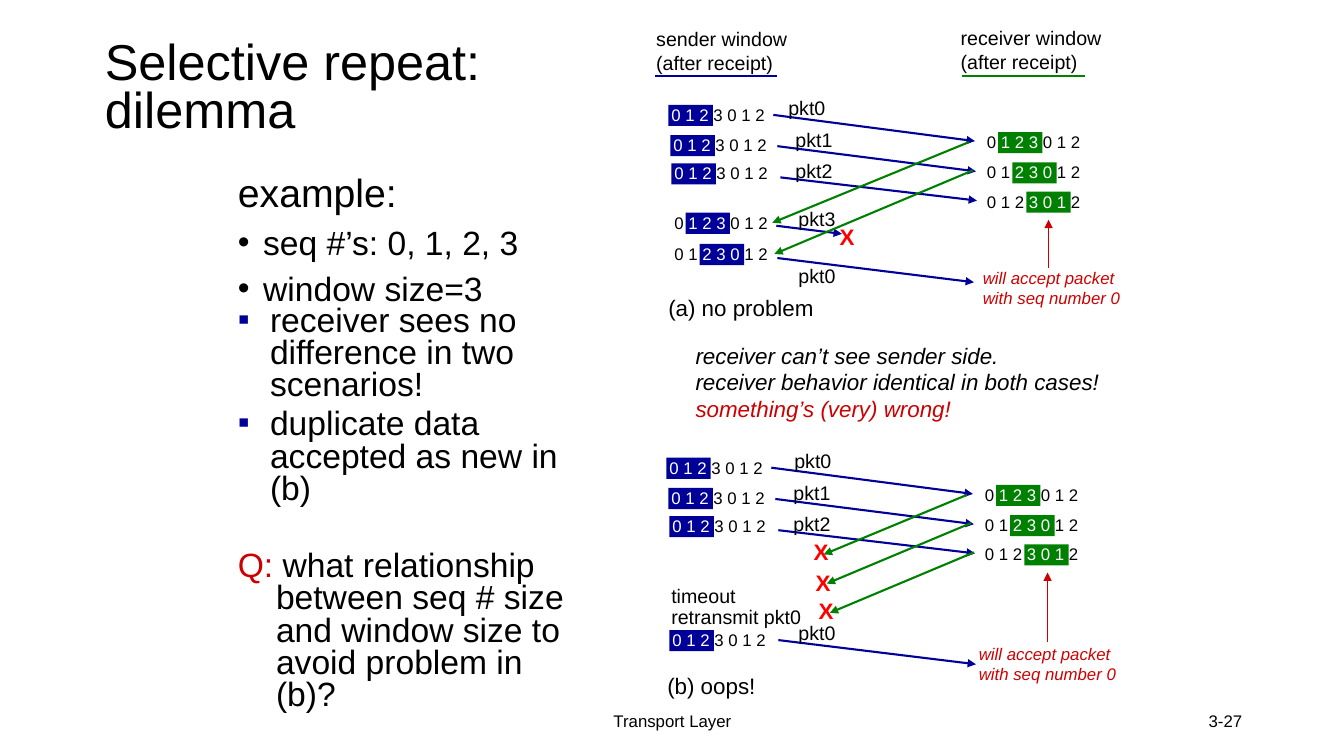
from lxml import etree
from pptx import Presentation
from pptx.dml.color import RGBColor
from pptx.enum.shapes import MSO_CONNECTOR as Connector, MSO_SHAPE as Shape
from pptx.enum.text import MSO_ANCHOR as Anchor, MSO_AUTO_SIZE as AutoSize, PP_ALIGN as Align
from pptx.oxml.ns import qn
from pptx.util import Inches, Pt

BLACK, WHITE, BLUE, GREEN = "000000", "FFFFFF", "000099", "008000"
RED, DARK_RED = "FF0000", "CC0000"

# ---- Content ----
TITLE = ["Selective repeat:", "dilemma"]
# (runs, size, line spacing, space before, indent, bullet, bullet colour)
EXAMPLE = [
    ([("example:", BLACK)], 28, 0.9, 0, 0.25, None, None),
    ([("seq #’s: 0, 1, 2, 3", BLACK)], 24, 0.8, 10, 0.25, "•", BLACK),
    ([("window size=3", BLACK)], 24, 0.8, 10, 0.25, "•", BLACK),
]
FINDINGS = [
    ([("receiver sees no difference in two scenarios!", BLACK)], 24, 0.8, 0, 0.32, "▪", BLUE),
    ([("duplicate data accepted as new in (b)", BLACK)], 24, 0.8, 5, 0.32, "▪", BLUE),
    ([("Q:", DARK_RED), (" what relationship between seq # size and window size "
      "to avoid problem in (b)?", BLACK)], 24, 0.8, 32, 0.38, None, None),
]
# (heading, text left, text top, width, underline left, underline right, colour)
HEADINGS = [
    ("sender window", 6.41, 0.22, 1.51, 6.5, 7.71, BLUE),
    ("receiver window", 9.43, 0.21, 1.61, 9.54, 10.76, GREEN),
]
VERDICT = [("receiver can’t see sender side.", BLACK),
           ("receiver behavior identical in both cases!", BLACK),
           ("something’s (very) wrong!", DARK_RED)]
ACCEPTS = ["will accept packet", "with seq number 0"]
SEQUENCE = "0 1 2 3 0 1 2"

# windows: (left, top, first number in window); arrows: (x1, y1, x2, y2)
SCENARIOS = [
    {
        "senders": [(6.56, 0.99, 0), (6.58, 1.29, 0), (6.59, 1.57, 0),
                    (6.59, 2.06, 1), (6.59, 2.37, 2)],
        "receivers": [(9.69, 1.26, 1), (9.69, 1.56, 2), (9.69, 1.85, 3)],
        "packets": [(7.67, 1.14, 9.67, 1.4), (7.71, 1.45, 9.68, 1.7), (7.74, 1.76, 9.69, 1.99),
                    (7.7, 2.24, 8.35, 2.32), (7.71, 2.56, 9.66, 2.8)],
        "acks": [(9.61, 1.41, 7.66, 2.21), (9.65, 1.69, 7.68, 2.52)],
        "labels": [("pkt0", 7.72, 0.9), ("pkt1", 7.79, 1.22), ("pkt2", 7.79, 1.53),
                   ("pkt3", 7.82, 2.0), ("pkt0", 7.82, 2.57)],
        "losses": [(8.23, 2.16)],
        "timeout": None,
        "accepts": (9.65, 2.61), "pointer": (10.4, 2.66, 10.4, 2.18),
        "caption": ("(a) no problem", 6.53, 2.87, 1.67),
    },
    {
        "senders": [(6.54, 4.49, 0), (6.56, 4.79, 0), (6.57, 5.07, 0), (6.57, 6.2, 0)],
        "receivers": [(9.67, 4.76, 1), (9.67, 5.06, 2), (9.67, 5.35, 3)],
        "packets": [(7.65, 4.64, 9.65, 4.9), (7.69, 4.95, 9.66, 5.2), (7.72, 5.26, 9.67, 5.49),
                    (7.72, 6.35, 9.68, 6.59)],
        "acks": [(9.59, 4.91, 8.17, 5.5), (9.63, 5.19, 8.2, 5.79), (9.66, 5.48, 8.23, 6.08)],
        "labels": [("pkt0", 7.78, 4.4), ("pkt1", 7.77, 4.72), ("pkt2", 7.77, 5.03),
                   ("pkt0", 7.82, 6.11)],
        "losses": [(7.97, 5.29), (7.99, 5.6), (8.02, 5.88)],
        "timeout": (["timeout", "retransmit pkt0"], 6.56, 5.77),
        "accepts": (9.61, 6.34), "pointer": (10.39, 6.37, 10.39, 5.68),
        "caption": ("(b) oops!", 6.52, 6.62, 1.1),
    },
]


# ---- Helpers ----
def rgb(color):
    return RGBColor.from_string(color)


def add_run(paragraph, text, color, **font_format):
    run = paragraph.add_run()
    run.text = text
    run.font.name = "Arial"
    run.font.color.rgb = rgb(color)
    for name, value in font_format.items():
        setattr(run.font, name, value)


def add_text(shapes, box, lines, size, align=Align.LEFT, anchor=Anchor.TOP,
             spacing=None, **font_format):
    """Each line is a list of (text, colour) runs."""
    frame = shapes.add_textbox(*map(Inches, box)).text_frame
    frame.word_wrap = False
    frame.vertical_anchor = anchor
    for number, runs in enumerate(lines):
        paragraph = frame.add_paragraph() if number else frame.paragraphs[0]
        paragraph.alignment = align
        paragraph.line_spacing = spacing
        for text, color in runs:
            add_run(paragraph, text, color, size=Pt(size), **font_format)


def add_line(shapes, ends, color, width=1.5, arrow=True):
    line = shapes.add_connector(Connector.STRAIGHT, *map(Inches, ends))
    line.line.color.rgb = rgb(color)
    line.line.width = Pt(width)
    if arrow:
        etree.SubElement(line.line._get_or_add_ln(), qn("a:tailEnd"), type="triangle")
    etree.SubElement(line._element.spPr, qn("a:effectLst"))


def add_window(shapes, left, top, first, color):
    """Sequence numbers, with three of them highlighted."""
    box = Inches(left + 0.07 + 0.14 * first), Inches(top + 0.05), Inches(0.44), Inches(0.21)
    highlight = shapes.add_shape(Shape.RECTANGLE, *box)
    highlight.shadow.inherit = False
    highlight.fill.solid()
    highlight.fill.fore_color.rgb = rgb(color)
    highlight.line.fill.background()
    start, end = 2 * first, 2 * first + 6
    parts = [(SEQUENCE[:start], BLACK), (SEQUENCE[start:end], WHITE), (SEQUENCE[end:], BLACK)]
    add_text(shapes, (left, top, 1.13, 0.3), [[part for part in parts if part[0]]], 12)


def fill_list(frame, items):
    frame.word_wrap = True
    frame.auto_size = AutoSize.NONE
    for number, (runs, size, spacing, before, indent, bullet, bullet_color) in enumerate(items):
        paragraph = frame.add_paragraph() if number else frame.paragraphs[0]
        layout = {"alignment": Align.LEFT, "line_spacing": spacing, "space_before": Pt(before)}
        for name, value in layout.items():
            setattr(paragraph, name, value)
        properties = paragraph._p.get_or_add_pPr()
        properties.set("marL", str(Inches(indent)))
        properties.set("indent", str(-Inches(indent)))
        if bullet:
            color = etree.SubElement(properties, qn("a:buClr"))
            etree.SubElement(color, qn("a:srgbClr"), val=bullet_color)
            etree.SubElement(properties, qn("a:buFont"), typeface="Arial")
            etree.SubElement(properties, qn("a:buChar"), char=bullet)
        else:
            etree.SubElement(properties, qn("a:buNone"))
        for text, color in runs:
            add_run(paragraph, text, color, size=Pt(size))


def place(shape, *box):
    for name, value in zip(("left", "top", "width", "height"), box):
        setattr(shape, name, Inches(value))


def draw_scenario(shapes, scenario):
    for role, color in (("senders", BLUE), ("receivers", GREEN)):
        for window in scenario[role]:
            add_window(shapes, *window, color)
    for role, color in (("packets", BLUE), ("acks", GREEN)):
        for ends in scenario[role]:
            add_line(shapes, ends, color)
    for label, left, top in scenario["labels"]:
        add_text(shapes, (left, top, 0.58, 0.33), [[(label, BLACK)]], 14)
    for left, top in scenario["losses"]:
        add_text(shapes, (left, top, 0.35, 0.37), [[("X", RED)]], 16, bold=True)
    if scenario["timeout"]:
        lines, left, top = scenario["timeout"]
        add_text(shapes, (left, top, 1.5, 0.53), [[(line, BLACK)] for line in lines], 14,
                 spacing=0.9)
    add_text(shapes, (*scenario["accepts"], 1.58, 0.5),
             [[(line, DARK_RED)] for line in ACCEPTS], 12, italic=True)
    add_line(shapes, scenario["pointer"], DARK_RED, 0.75)
    caption, left, top, width = scenario["caption"]
    add_text(shapes, (left, top, width, 0.37), [[(caption, BLACK)]], 16)


def main():
    deck = Presentation()
    deck.slide_width, deck.slide_height = Inches(13.33), Inches(7.5)
    slide = deck.slides.add_slide(deck.slide_layouts[1])
    shapes = slide.shapes

    # Title and text column
    title, example = slide.placeholders
    place(title, 0.94, 0.27, 8.5, 1.25)
    title.text_frame.auto_size = AutoSize.NONE
    title.text_frame.vertical_anchor = Anchor.MIDDLE
    heading = title.text_frame.paragraphs[0]
    heading.alignment, heading.line_spacing = Align.LEFT, 0.8
    for number, line in enumerate(TITLE):
        if number:
            heading.add_line_break()
        add_run(heading, line, BLACK, size=Pt(36))
    place(example, 2.26, 1.67, 3.58, 3.86)
    fill_list(example.text_frame, EXAMPLE)
    findings = shapes.add_textbox(*map(Inches, (2.26, 2.99, 3.58, 1.7)))
    fill_list(findings.text_frame, FINDINGS)

    # Column headings
    for text, left, top, width, start, end, color in HEADINGS:
        add_text(shapes, (left, top, width, 0.57),
                 [[(text, BLACK)], [("(after receipt)", BLACK)]], 14)
        add_line(shapes, (start, 0.75, end, 0.75), color, arrow=False)

    # Both scenarios and the verdict between them
    for scenario in SCENARIOS:
        draw_scenario(shapes.add_group_shape().shapes, scenario)
    add_text(shapes, (6.8, 3.34, 4.25, 0.91), [[line] for line in VERDICT], 16, italic=True)

    # Footer
    for text, left, width, align in (("Transport Layer", 4.42, 4.5, Align.CENTER),
                                     ("3-27", 9.42, 3, Align.RIGHT)):
        add_text(shapes, (left, 6.95, width, 0.4), [[(text, BLACK)]], 12, align, Anchor.MIDDLE)
    deck.save("out.pptx")


if __name__ == "__main__":
    main()
